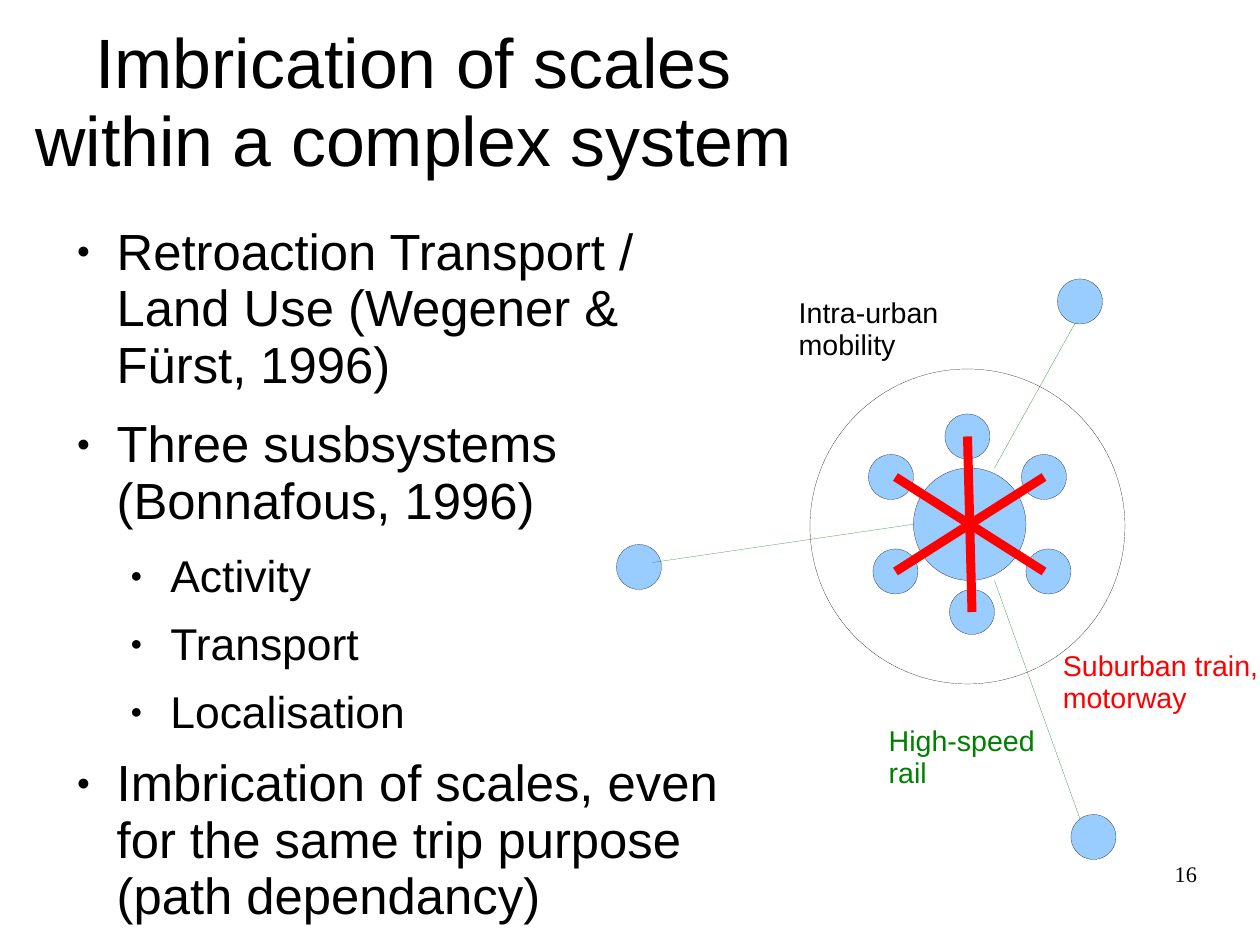
from lxml import etree
from pptx import Presentation, util as u
from pptx.dml.color import RGBColor
from pptx.enum import shapes, text
from pptx.oxml import ns

BLACK, BLUE, GREEN, RED = "000000", "99CCFF", "008000", "FF0000"
THIN, THICK = 0.1, 5.67


def hue(code):
    """Turn a hex string into a colour."""
    return RGBColor.from_string(code)


def sub(node, tag, **attrs):
    """Add a drawing element under a node."""
    return etree.SubElement(node, ns.qn("a:" + tag), **attrs)


def write(para, words, size=18, color=BLACK, face="Arial", lead=0.93,
          align=text.PP_ALIGN.LEFT, after=0):
    """Fill a paragraph with formatted text."""
    para.text = words
    para.alignment, para.line_spacing = align, lead
    para.space_before, para.space_after = u.Pt(0), u.Pt(after)
    for run in para.runs:
        run.font.size, run.font.name = u.Pt(size), face
        run.font.color.rgb = hue(color)


def bullet(para, level):
    """Give a paragraph a small round bullet and a hanging indent."""
    para.level = level
    props = para._p.get_or_add_pPr()
    props.set("marL", str(u.Inches(0.47 * (level + 1))))
    props.set("indent", str(u.Inches(-0.35)))
    sub(sub(props, "buClr"), "srgbClr", val=BLACK)
    sub(props, "buSzPct", val="45000")
    sub(props, "buFont", typeface="Arial")
    sub(props, "buChar", char="●")


class Page:
    """Holds the style and the slide, on a grid of 28 columns by 21 rows."""

    def __init__(self, deck):
        """Add a blank slide and measure its grid."""
        self.slide = deck.slides.add_slide(deck.slide_layouts[6])
        self.items = self.slide.shapes
        self.col, self.row = deck.slide_width / 28, deck.slide_height / 21

    def at(self, *spots):
        """Turn columns and rows, in turn, into lengths."""
        return [int(n * (self.row if i % 2 else self.col))
                for i, n in enumerate(spots)]

    def box(self, spot, pad=(0, 0), wrap=True, anchor=text.MSO_ANCHOR.TOP):
        """Add a text box and return its frame."""
        frame = self.items.add_textbox(*self.at(*spot)).text_frame
        frame.word_wrap, frame.vertical_anchor = wrap, anchor
        frame.margin_left = frame.margin_right = u.Inches(pad[0])
        frame.margin_top = frame.margin_bottom = u.Inches(pad[1])
        return frame

    def label(self, spot, words, color):
        """Add a short caption."""
        frame = self.box(spot, pad=(0.1, 0.05), wrap=False)
        write(frame.paragraphs[0], words, color=color)

    def list(self, spot, rows):
        """Add a bulleted list of level and text pairs."""
        frame = self.box(spot, pad=(0, 0.03))
        for i, (level, words) in enumerate(rows):
            para = frame.add_paragraph() if i else frame.paragraphs[0]
            bullet(para, level)
            write(para, words, size=28 if level else 32,
                  after=11.4 if level else 14.1)

    def disc(self, left, top, size=1, fill=BLUE):
        """Add a circle with a hairline edge."""
        disc = self.items.add_shape(shapes.MSO_SHAPE.OVAL,
                                    *self.at(left, top, size, size))
        disc.shadow.inherit = False
        if fill:
            disc.fill.solid()
            disc.fill.fore_color.rgb = hue(fill)
        else:
            disc.fill.background()
        disc.line.color.rgb, disc.line.width = hue(BLACK), u.Pt(THIN)

    def link(self, spots, color, width=THIN):
        """Add a straight line between two points."""
        link = self.items.add_connector(shapes.MSO_CONNECTOR.STRAIGHT,
                                        *self.at(*spots))
        link.line.color.rgb, link.line.width = hue(color), u.Pt(width)
        sub(link._element.spPr, "effectLst")


def main():
    """Build the slide and save it."""
    deck = Presentation()
    deck.slide_width, deck.slide_height = u.Cm(28), u.Cm(21)
    page = Page(deck)

    title = page.box((0.4, 0.52, 17.6, 3.6), anchor=text.MSO_ANCHOR.MIDDLE)
    write(title.paragraphs[0], "Imbrication of scales within a complex system",
          size=44, align=text.PP_ALIGN.CENTER)
    page.list((1.4, 4.92, 25.2, 15.67), [
        (0, "Retroaction Transport /\nLand Use (Wegener &\nFürst, 1996)"),
        (0, "Three susbsystems\n(Bonnafous, 1996)"),
        (1, "Activity"),
        (1, "Transport"),
        (1, "Localisation"),
        (0, "Imbrication of scales, even\nfor the same trip purpose\n"
            "(path dependancy)")])

    page.disc(20.3, 10.4, 2.5)
    suburbs = [(19.3, 10.1), (21, 9.2), (22.7, 10.1),
               (22.8, 12.2), (19.4, 12.2), (21.1, 13.1)]
    cities = [(23.5, 6.2), (13.7, 12.1), (23.8, 18.1)]
    for spot in suburbs + cities:
        page.disc(*spot)

    for rail in [(14.5, 12.5, 20.3, 11.65), (24, 18.2, 22.1, 12.9),
                 (23.88, 7.2, 22.1, 10.4)]:
        page.link(rail, GREEN)
    for road in [(19.9, 12.7, 23.2, 10.6), (19.9, 10.6, 23.2, 12.7),
                 (21.5, 9.7, 21.6, 13.6)]:
        page.link(road, RED, THICK)
    page.disc(18, 8.2, 7, fill=None)

    page.label((19.5, 16, 4, 1.68), "High-speed\nrail", GREEN)
    page.label((23.37, 14.35, 5.03, 1.68), "Suburban train,\nmotorway", RED)
    page.label((17.5, 6.5, 4, 1.68), "Intra-urban\nmobility", BLACK)
    number = page.box((20.07, 19.17, 6.53, 1.45))
    write(number.paragraphs[0], "16", size=14, face="Times New Roman",
          lead=0.95, align=text.PP_ALIGN.RIGHT)
    deck.save("out.pptx")


if __name__ == "__main__":
    main()
